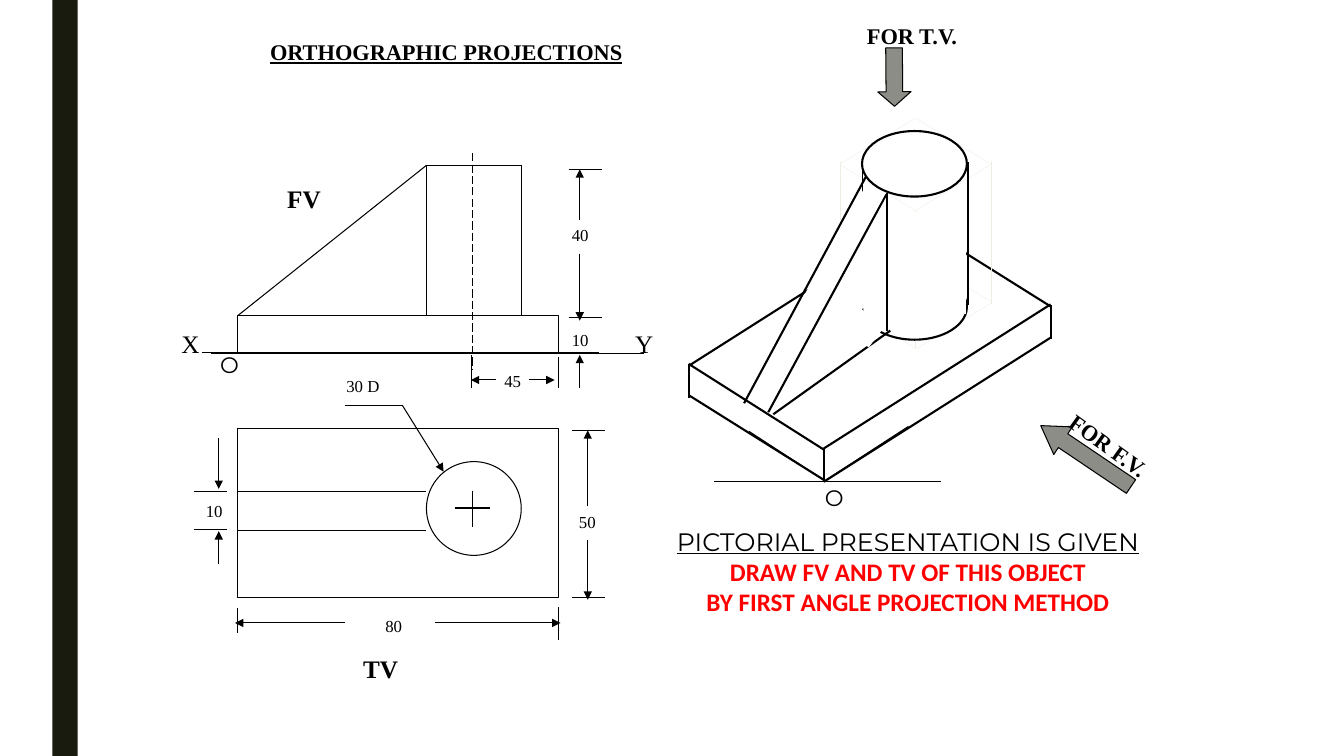
import pptx
import pptx.util
import pptx.dml.color
import pptx.enum.dml
import pptx.enum.shapes
import pptx.enum.text
import pptx.oxml.ns
import lxml.etree

Inches = pptx.util.Inches
RGBColor = pptx.dml.color.RGBColor
MSO_SHAPE = pptx.enum.shapes.MSO_SHAPE
PP_ALIGN = pptx.enum.text.PP_ALIGN
BLACK = RGBColor(0x00, 0x00, 0x00)
WHITE = RGBColor(0xFF, 0xFF, 0xFF)
RED = RGBColor(0xFF, 0x00, 0x00)
GREY = RGBColor(0x8C, 0x8D, 0x86)
FAINT = RGBColor(0xEF, 0xED, 0xE3)
BAND = RGBColor(0x19, 0x1B, 0x0E)
SERIF = "Times New Roman"
SANS = "Montserrat"


def add_line(s, box, ends, width=0.75, color=BLACK, arrow=False, dash=None):
    x, y = box[:2]
    x1, y1, x2, y2 = ends
    c = s.shapes.add_connector(pptx.enum.shapes.MSO_CONNECTOR.STRAIGHT, Inches(x + x1),
                               Inches(y + y1), Inches(x + x2), Inches(y + y2))
    c.line.width = pptx.util.Pt(width)
    c.line.color.rgb = color
    if dash:
        c.line.dash_style = dash
    if arrow:
        ln = c.line._get_or_add_ln()
        lxml.etree.SubElement(ln, pptx.oxml.ns.qn("a:tailEnd"), type="triangle")
    lxml.etree.SubElement(c._element.spPr, pptx.oxml.ns.qn("a:effectLst"))


def add_lines(s, box, lines, **fmt):
    for ends in lines:
        add_line(s, box, ends, **fmt)


def add_shape(s, box, kind, place, fill=WHITE, line=BLACK, width=0.75, rot=0):
    left, top, w, h = place
    sp = s.shapes.add_shape(kind, Inches(box[0] + left), Inches(box[1] + top),
                            Inches(w), Inches(h))
    sp.shadow.inherit = False
    sp.rotation = rot
    sp.fill.solid()
    sp.fill.fore_color.rgb = fill
    if line is None:
        sp.line.fill.background()
    else:
        sp.line.color.rgb = line
        sp.line.width = pptx.util.Pt(width)
    return sp


def add_text(s, box, place, paragraphs, align=PP_ALIGN.CENTER, rot=0):
    left, top, w, h = place
    sp = s.shapes.add_textbox(Inches(box[0] + left), Inches(box[1] + top),
                              Inches(w), Inches(h))
    sp.rotation = rot
    tf = sp.text_frame
    tf.word_wrap = False
    tf.auto_size = pptx.enum.text.MSO_AUTO_SIZE.SHAPE_TO_FIT_TEXT
    for i, (text, size, fmt) in enumerate(paragraphs):
        p = tf.add_paragraph() if i else tf.paragraphs[0]
        p.alignment = align
        r = p.add_run()
        r.text = text
        r.font.size = pptx.util.Pt(size)
        r.font.color.rgb = fmt.get("color", BLACK)
        for name, value in fmt.items():
            if name != "color":
                setattr(r.font, name, value)


def add_dimensions(s, box, labels):
    for text, left, top, w in labels:
        add_text(s, box, (left, top, w, 0.3), [(text, 12, {"name": SERIF})])


def add_front_view(s, box):
    w, h = box[2:]
    base = 0.37
    top = h - base
    add_shape(s, box, MSO_SHAPE.RECTANGLE, (1.87, 0, 0.94, top))
    add_shape(s, box, MSO_SHAPE.RECTANGLE, (0, top, w, base))
    add_line(s, box, (2.33, -0.12, 2.33, 2.02), dash=pptx.enum.dml.MSO_LINE.LONG_DASH)
    add_lines(s, box, [
        (1.87, 0, 0, top), (-0.36, h, 3.58, h), (-0.27, 1.87, 4.03, 1.87),
        (3.28, 1.51, 3.61, 1.51), (3.28, 0.04, 3.61, 0.04),
        (2.32, 2.21, 2.32, 1.88), (w, 1.9, w, 2.21)])
    add_lines(s, box, [
        (3.39, 0.88, 3.39, 1.54), (3.39, 0.54, 3.39, 0.04), (3.39, 2.21, 3.39, 1.88),
        (2.89, 2.13, 3.14, 2.13), (2.56, 2.13, 2.31, 2.13)], arrow=True)
    add_dimensions(s, box, [("40", 3.21, 0.54, 0.37), ("10", 3.21, 1.58, 0.37),
                            ("45", 2.54, 1.99, 0.37)])
    add_text(s, box, (0.39, 0.13, 0.53, 0.4), [("FV", 18, {"name": SERIF, "bold": True})])
    add_text(s, box, (-0.28, 1.79, 0.39, 0.37), [("O", 16, {"name": SANS})])
    for text, left in (("X", -0.66), ("Y", 3.84)):
        add_text(s, box, (left, 1.57, 0.38, 0.4), [(text, 18, {"name": SERIF})])


def add_top_view(s, box):
    w, h = box[2:]
    add_shape(s, box, MSO_SHAPE.RECTANGLE, (0, 0, w, h))
    add_shape(s, box, MSO_SHAPE.OVAL, (1.87, 0.33, 0.94, 0.93))
    add_lines(s, box, [
        (0, 0.63, 1.87, 0.63), (0, 1.01, 1.87, 1.01),
        (2.33, 0.62, 2.33, 0.98), (2.15, 0.79, 2.5, 0.79),
        (0, 1.78, 0, 2.03), (w, 1.77, w, 2.1),
        (3.31, 0.02, 3.64, 0.02), (3.31, h, 3.64, h),
        (-0.44, 0.63, -0.11, 0.63), (-0.44, 1, -0.11, 1),
        (1.06, -0.23, 1.64, -0.23)])
    add_lines(s, box, [
        (1.63, -0.23, 2.04, 0.43), (-0.19, 0.1, -0.19, 0.6), (-0.19, 1.35, -0.19, 1.02),
        (3.47, 0.77, 3.47, 0.02), (3.47, 1.11, 3.47, 1.7),
        (1.95, 1.93, 3.2, 1.93), (1.06, 1.93, -0.03, 1.93)], arrow=True)
    add_dimensions(s, box, [("50", 3.28, 0.78, 0.37), ("80", 1.36, 1.81, 0.37),
                            ("10", -0.42, 0.67, 0.37), ("30 D", 0.94, -0.57, 0.6)])
    add_text(s, box, (1.14, 2.18, 0.55, 0.4), [("TV", 18, {"name": SERIF, "bold": True})])


def add_pictorial_view(s, box):
    faint = {"line": FAINT, "width": 0.25}
    mask = {"line": WHITE}
    add_lines(s, box, [(1.35, 3.6, 2.18, 3.06), (1.35, 3.6, 0.6, 3.11)])
    add_lines(s, box, [
        (1.34, 3.61, 1.34, 3.28), (1.34, 3.61, 3.59, 2.18), (1.34, 3.28, 3.59, 1.85),
        (1.34, 3.59, 0, 2.75), (1.34, 3.29, 0, 2.44), (3.59, 1.87, 2.25, 1.03),
        (3.59, 2.19, 3.59, 1.86), (0, 2.46, 2.25, 1.03), (0, 2.44, 0, 2.78)], width=1.5)
    add_shape(s, box, MSO_SHAPE.DIAMOND, (1.51, 1.37, 1.5, 0.92), **faint)
    add_lines(s, box, [(1.5, 1.86, 1.5, 0.44), (2.25, 2.28, 2.25, 0.86),
                       (3, 1.85, 3, 0.43)], width=0.25, color=FAINT)
    add_shape(s, box, MSO_SHAPE.DIAMOND, (1.5, 0, 1.5, 0.92), **faint)
    for top in (0.13, 1.55):
        add_shape(s, box, MSO_SHAPE.OVAL, (1.72, top, 1.04, 0.65), width=1.5)
    add_line(s, box, (1.72, 0.44, 1.72, 1.86))
    add_line(s, box, (2.77, 0.44, 2.77, 1.86), width=1.5)
    add_shape(s, box, MSO_SHAPE.RECTANGLE, (1.75, 0.94, 1, 1), **mask)
    add_lines(s, box, [(0.84, 2.94, 2, 2.11), (1.97, 0.74, 1.97, 2.11)], width=1.5)
    add_shape(s, box, MSO_SHAPE.RECTANGLE, (1.34, 1.87, 0.58, 0.25), rot=37.2, **mask)
    add_shape(s, box, MSO_SHAPE.OVAL, (1.42, 0.94, 0.42, 1), **mask)
    add_lines(s, box, [(1.96, 0.76, 0.79, 2.92), (1.76, 0.58, 0.55, 2.83)], width=1.5)
    add_shape(s, box, MSO_SHAPE.RECTANGLE, (1.43, 0.63, 0.2, 1.32), rot=29.3, **mask)
    add_line(s, box, (0.25, 3.61, 2.5, 3.61))
    add_text(s, box, (1.25, 3.58, 0.39, 0.37), [("O", 16, {"name": SANS})])


def add_view_arrow(s, box, text, arrow, label, head, arrow_rot, label_rot=0):
    sp = add_shape(s, box, MSO_SHAPE.LEFT_ARROW, arrow, fill=GREY, rot=arrow_rot)
    sp.adjustments[0] = 0.5
    sp.adjustments[1] = head
    add_text(s, box, label, [(text, 16, {"name": SERIF, "bold": True})],
             PP_ALIGN.LEFT, label_rot)


def add_caption(s, box):
    red = {"name": "Calibri", "bold": True, "color": RED}
    add_text(s, box, (0, 0, *box[2:]), [
        ("PICTORIAL PRESENTATION IS GIVEN", 18, {"name": SANS, "underline": True}),
        ("DRAW FV AND TV OF THIS OBJECT", 18, red),
        ("BY FIRST ANGLE PROJECTION METHOD", 18, red)])


def add_title(s, box):
    add_text(s, box, (0, 0, *box[2:]), [
        ("ORTHOGRAPHIC PROJECTIONS", 16, {"name": SERIF, "bold": True, "underline": True})],
        PP_ALIGN.LEFT)


def main():
    prs = pptx.Presentation()
    prs.slide_width = Inches(13.33)
    prs.slide_height = Inches(7.5)
    s = prs.slides.add_slide(prs.slide_layouts[6])
    add_shape(s, (0.52, 0), MSO_SHAPE.RECTANGLE, (0, 0, 0.25, 7.5), fill=BAND, line=None)
    add_top_view(s, (2.36, 4.25, 3.18, 1.68))
    add_pictorial_view(s, (6.83, 1.17, 3.59, 3.95))
    add_view_arrow(s, (8.5, 0.17), "FOR T.V.", (0.08, 0.43, 0.58, 0.33),
                   (0, 0, 1.14, 0.37), 0.44, 269.5)
    add_view_arrow(s, (10.23, 4.25), "FOR F.V.", (0, 0.11, 1.08, 0.33),
                   (0.22, 0, 1.13, 0.37), 0.81, 34, 35.6)
    add_caption(s, (6.34, 5.17, 5.33, 1))
    add_title(s, (2.58, 0.33, 3.71, 0.37))
    add_front_view(s, (2.36, 1.64, 3.18, 1.86))
    prs.save("out.pptx")


if __name__ == "__main__":
    main()
